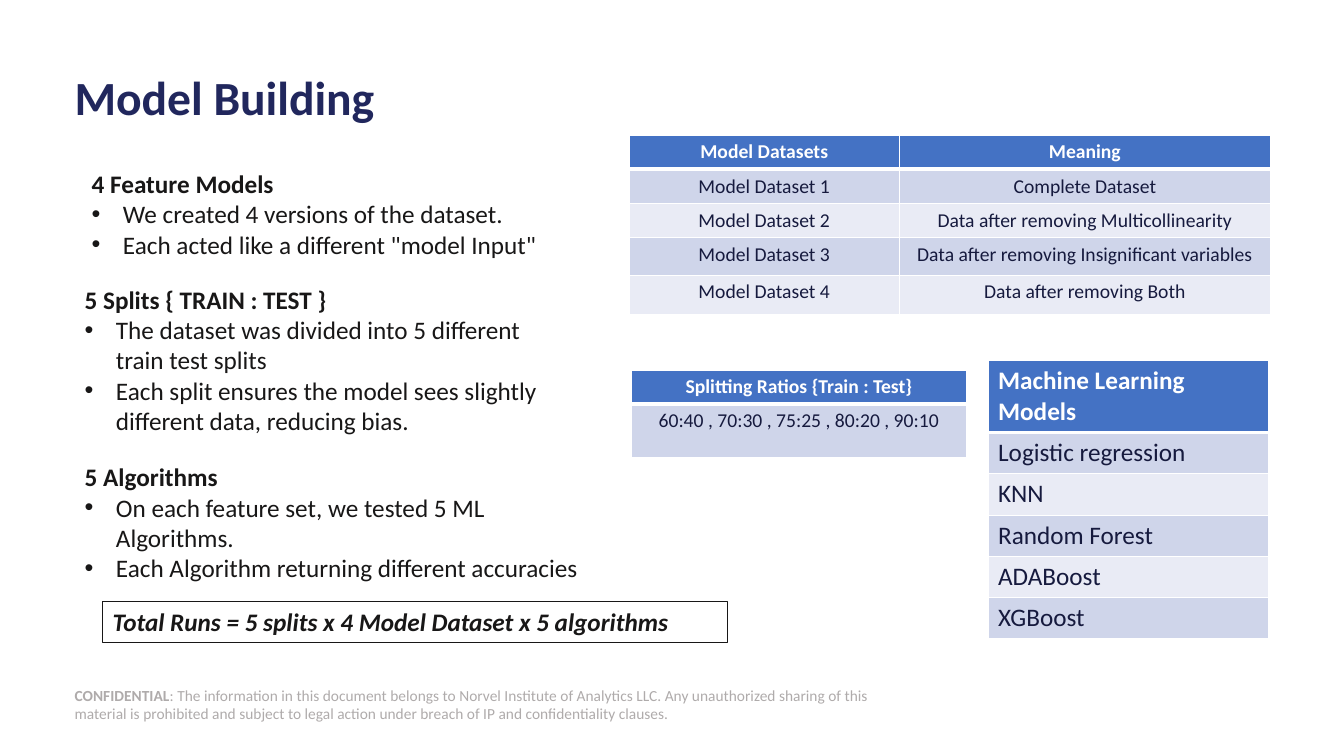
from lxml.etree import SubElement
from pptx import Presentation
from pptx.dml.color import RGBColor
from pptx.enum.shapes import MSO_SHAPE
from pptx.enum.text import MSO_ANCHOR, MSO_AUTO_SIZE, PP_ALIGN
from pptx.oxml.ns import qn
from pptx.util import Pt

PX = 9144
FONT = "Calibri"
WHITE = RGBColor(0xFF, 0xFF, 0xFF)
NAVY = RGBColor(0x21, 0x27, 0x5D)
INK = RGBColor(0x18, 0x17, 0x17)
CELL_INK = RGBColor(0x16, 0x1A, 0x3E)
GRAY = RGBColor(0xAF, 0xAB, 0xAB)
HEADER_BLUE = RGBColor(0x44, 0x72, 0xC4)
BANDS = (RGBColor(0xCF, 0xD5, 0xEA), RGBColor(0xE9, 0xEB, 0xF5))

SLIDE_SIZE = (1333, 750)
BULLET_INDENT = 31

TITLE = ("Model Building", (74, 66, 1185, 67))
SECTIONS = [
    ("4 Feature Models", (81, 162, 494, 101), [
        "We created 4 versions of the dataset.",
        'Each acted like a different "model Input"',
    ]),
    ("5 Splits { TRAIN : TEST }", (74, 277, 494, 162), [
        "The dataset was divided into 5 different train test splits",
        "Each split ensures the model sees slightly different data, reducing bias.",
    ]),
    ("5 Algorithms", (74, 453, 537, 131), [
        "On each feature set, we tested 5 ML Algorithms.",
        "Each Algorithm returning different accuracies",
    ]),
]
TOTAL_RUNS = ("Total Runs = 5 splits x 4 Model Dataset x 5 algorithms", (102, 597, 620, 40))
FOOTER_BOX = (74, 679, 817, 40)
FOOTER_LABEL = "CONFIDENTIAL"
FOOTER_NOTICE = (
    ": The information in this document belongs to Norvel Institute of Analytics LLC. "
    "Any unauthorized sharing of this material is prohibited and subject to legal action "
    "under breach of IP and confidentiality clauses."
)
TABLES = [
    {
        "corner": (624, 134), "columns": (268, 368), "rows": (34, 34, 34, 37, 39),
        "size": 14, "align": PP_ALIGN.CENTER,
        "cells": [
            ("Model Datasets", "Meaning"),
            ("Model Dataset 1", "Complete Dataset"),
            ("Model Dataset 2", "Data after removing Multicollinearity"),
            ("Model Dataset 3", "Data after removing Insignificant variables"),
            ("Model Dataset 4", "Data after removing Both"),
        ],
    },
    {
        "corner": (626, 367), "columns": (333,), "rows": (33, 53),
        "size": 14, "align": PP_ALIGN.CENTER,
        "cells": [
            ("Splitting Ratios {Train : Test}",),
            ("60:40 , 70:30 , 75:25 , 80:20 , 90:10",),
        ],
    },
    {
        "corner": (980, 358), "columns": (278,), "rows": (68, 41, 41, 41, 41, 41),
        "size": 18, "align": PP_ALIGN.LEFT,
        "cells": [
            ("Machine Learning Models",), ("Logistic regression",), ("KNN",),
            ("Random Forest",), ("ADABoost",), ("XGBoost",),
        ],
    },
]


def scaled(lengths):
    return [length * PX for length in lengths]


def place(shape, box):
    shape.left, shape.top, shape.width, shape.height = scaled(box)


def add_run(paragraph, text, size, color, bold=False, italic=False):
    run = paragraph.add_run()
    run.text = text
    font = run.font
    font.name, font.size, font.bold, font.italic = FONT, Pt(size), bold, italic
    font.color.rgb = color


def set_frame(shape, anchor, inset=None):
    frame = shape.text_frame
    frame.word_wrap = True
    frame.auto_size = MSO_AUTO_SIZE.NONE
    frame.vertical_anchor = anchor
    if inset is not None:
        frame.margin_left = frame.margin_top = frame.margin_right = frame.margin_bottom = inset
    return frame


def set_bullet(paragraph, bulleted):
    properties = paragraph._p.get_or_add_pPr()
    indent = BULLET_INDENT * PX if bulleted else 0
    properties.set("marL", str(indent))
    properties.set("indent", str(-indent))
    if bulleted:
        SubElement(properties, qn("a:buFont")).set("typeface", "Arial")
        SubElement(properties, qn("a:buChar")).set("char", "•")
    else:
        SubElement(properties, qn("a:buNone"))


def fill_section(placeholder, heading, box, points):
    place(placeholder, box)
    frame = set_frame(placeholder, MSO_ANCHOR.TOP)
    for index, text in enumerate([heading, *points]):
        paragraph = frame.add_paragraph() if index else frame.paragraphs[0]
        set_bullet(paragraph, index > 0)
        paragraph.alignment = PP_ALIGN.LEFT
        paragraph.space_before = Pt(0)
        add_run(paragraph, text, 18, INK, bold=index == 0)


def set_borders(cell, top, bottom):
    properties = cell._tc.get_or_add_tcPr()
    sides = (("lnL", 1), ("lnR", 1), ("lnT", top), ("lnB", bottom))
    for position, (side, width) in enumerate(sides):
        line = SubElement(properties, qn(f"a:{side}"))
        line.set("w", str(Pt(width)))
        solid = SubElement(line, qn("a:solidFill"))
        SubElement(solid, qn("a:srgbClr")).set("val", str(WHITE))
        properties.insert(position, line)


def add_data_table(slide, data):
    columns, rows = scaled(data["columns"]), scaled(data["rows"])
    frame = slide.shapes.add_table(
        len(rows), len(columns), *scaled(data["corner"]), sum(columns), sum(rows)
    )
    table = frame.table
    for column, width in zip(table.columns, columns):
        column.width = width
    for row, height in zip(table.rows, rows):
        row.height = height
    for row_index, texts in enumerate(data["cells"]):
        header = row_index == 0
        for column_index, text in enumerate(texts):
            cell = table.cell(row_index, column_index)
            cell.fill.solid()
            cell.fill.fore_color.rgb = HEADER_BLUE if header else BANDS[(row_index - 1) % 2]
            set_borders(cell, 3 if row_index == 1 else 1, 3 if header else 1)
            paragraph = cell.text_frame.paragraphs[0]
            paragraph.alignment = data["align"]
            add_run(paragraph, text, data["size"], WHITE if header else CELL_INK, header)


def add_box(slide, box, inset=None):
    shape = slide.shapes.add_shape(MSO_SHAPE.RECTANGLE, *scaled(box))
    shape.shadow.inherit = False
    paragraph = set_frame(shape, MSO_ANCHOR.MIDDLE, inset).paragraphs[0]
    paragraph.alignment = PP_ALIGN.LEFT
    return shape, paragraph


def main():
    """Build the Model Building slide."""
    presentation = Presentation()
    presentation.slide_width, presentation.slide_height = scaled(SLIDE_SIZE)
    slide = presentation.slides.add_slide(presentation.slide_layouts.get_by_name("Comparison"))

    title_text, title_box = TITLE
    title = slide.shapes.title
    place(title, title_box)
    paragraph = set_frame(title, MSO_ANCHOR.MIDDLE, 0).paragraphs[0]
    paragraph.alignment = PP_ALIGN.LEFT
    paragraph.line_spacing = 0.9
    add_run(paragraph, title_text, 34, NAVY, bold=True)

    bodies = list(slide.placeholders)[1:]
    for placeholder, section in zip(bodies, SECTIONS):
        fill_section(placeholder, *section)
    for unused in bodies[len(SECTIONS):]:
        unused._element.getparent().remove(unused._element)

    for data in TABLES:
        add_data_table(slide, data)

    total_text, total_box = TOTAL_RUNS
    total, paragraph = add_box(slide, total_box)
    total.fill.background()
    total.line.color.rgb = INK
    total.line.width = Pt(0.75)
    add_run(paragraph, total_text, 18, INK, bold=True, italic=True)

    footer, paragraph = add_box(slide, FOOTER_BOX, 0)
    footer.fill.solid()
    footer.fill.fore_color.rgb = WHITE
    footer.line.fill.background()
    add_run(paragraph, FOOTER_LABEL, 11, GRAY, bold=True)
    add_run(paragraph, FOOTER_NOTICE, 11, GRAY)

    presentation.save("out.pptx")


if __name__ == "__main__":
    main()
